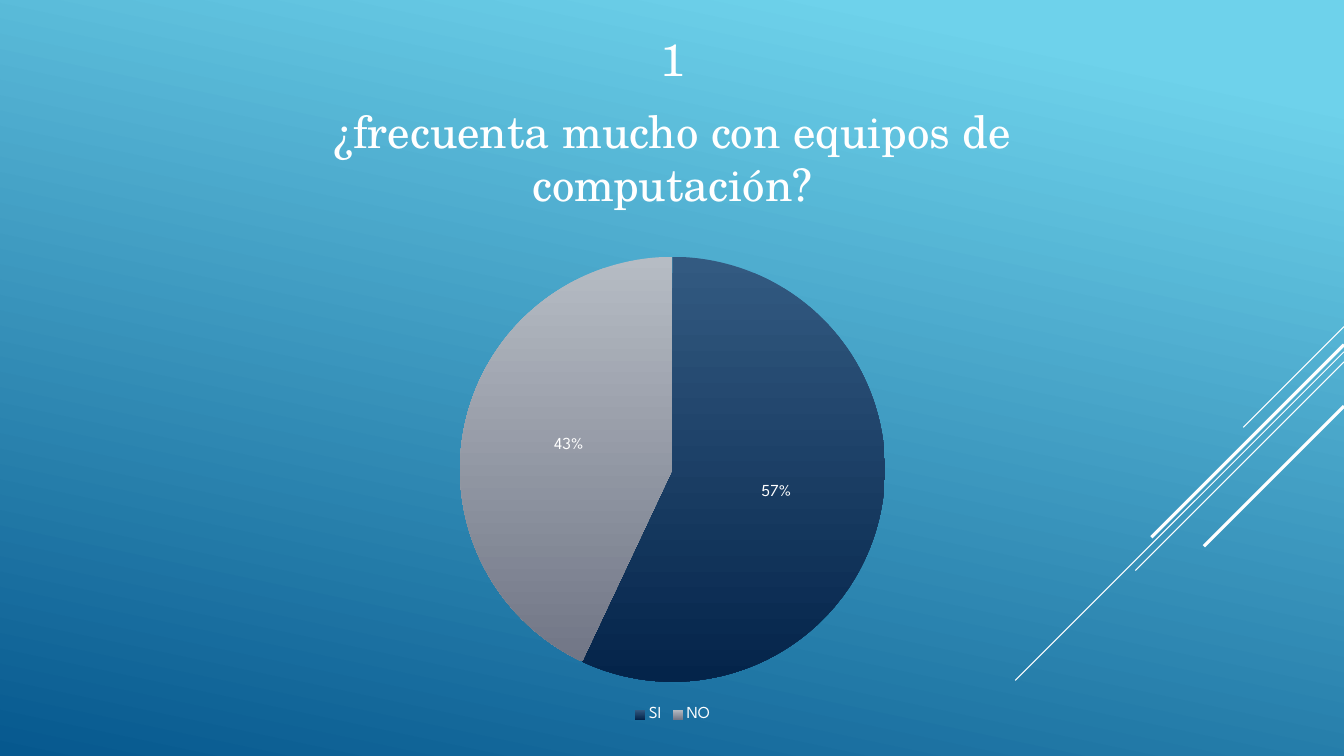
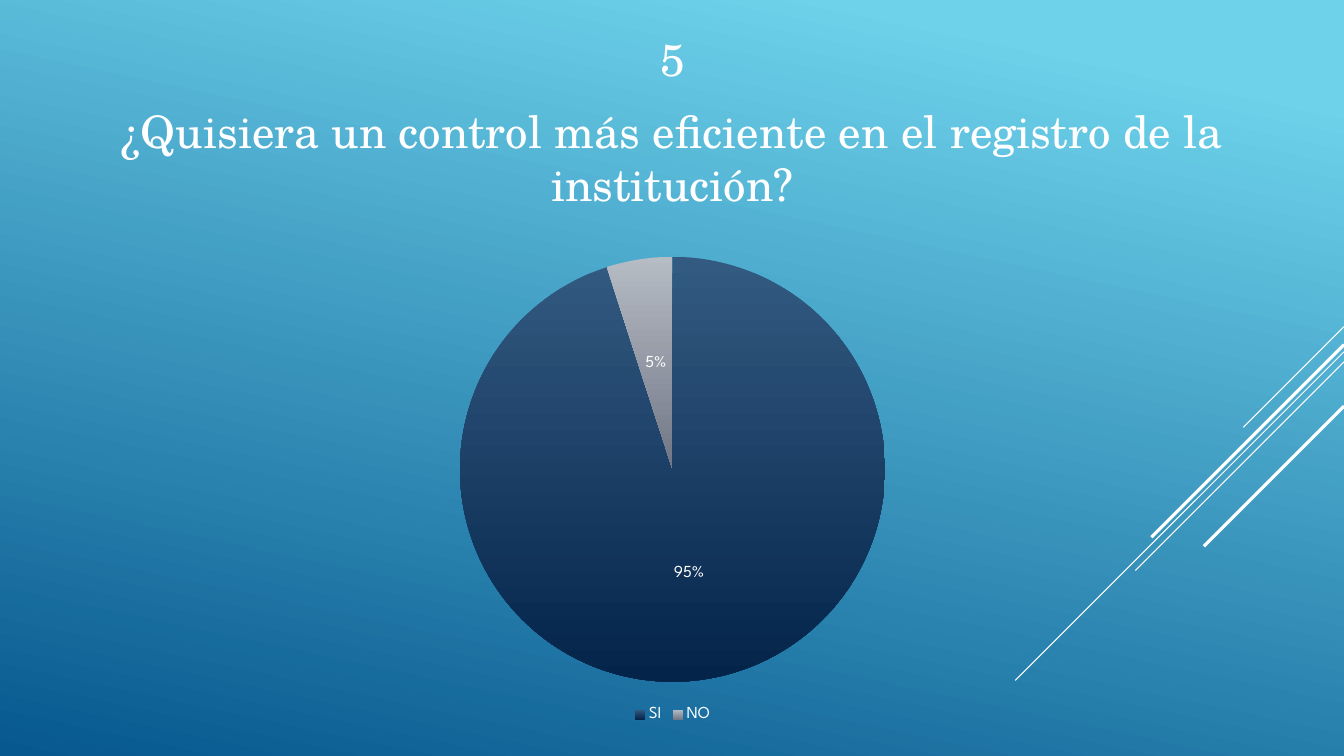
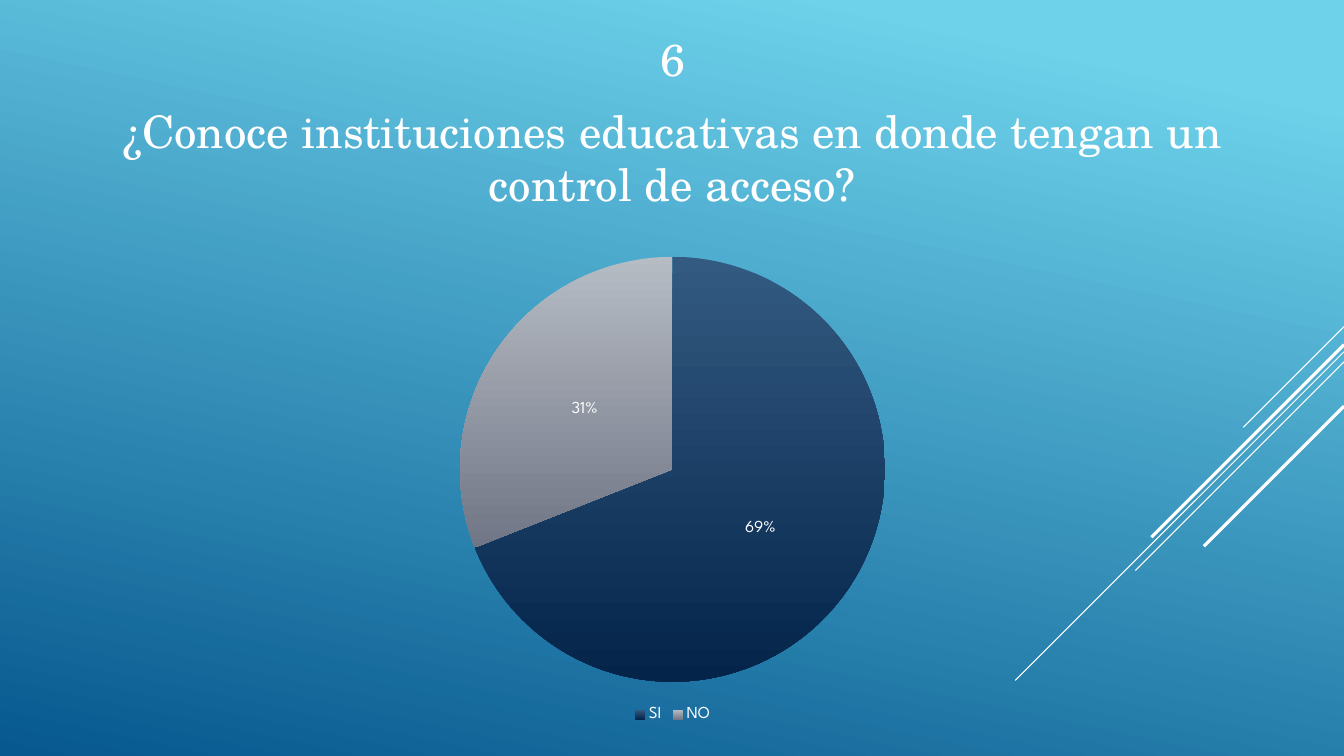
from dataclasses import dataclass

from pptx import Presentation
from pptx.chart.data import CategoryChartData
from pptx.dml.color import RGBColor
from pptx.enum.chart import XL_CHART_TYPE, XL_LABEL_POSITION, XL_LEGEND_POSITION
from pptx.enum.shapes import MSO_CONNECTOR
from pptx.enum.text import MSO_ANCHOR, PP_ALIGN
from pptx.oxml.ns import qn
from pptx.util import Inches, Pt
from lxml.etree import SubElement

# Content: number, question, percentages for each answer
ANSWERS = ("SI", "NO")
QUESTIONS = [
    ("1", "¿frecuenta mucho con equipos de computación?", (57, 43)),
    ("5", "¿Quisiera un control más eficiente en el registro de la institución?", (95, 5)),
    ("6", "¿Conoce instituciones educativas en donde tengan un control de acceso?", (69, 31)),
]


@dataclass(frozen=True)
class Theme:
    text: str = "FFFFFF"
    background: tuple = ((0.1, "6ED2EB"), (1, "06588E"))
    background_angle: int = 102
    slices: tuple = (
        ((0, "335A81"), (1, "04244A")),
        ((0, "B6BCC4"), (1, "717686")),
    )
    slice_angle: int = 90
    question_font: str = "TeX Gyre Schola"
    chart_font: str = "League Spartan"
    question_size: int = 32
    chart_size: int = 10
    label_size: int = 12


THEME = Theme()

# Layout in inches
SLIDE_WIDTH, SLIDE_HEIGHT = 13.33, 7.5
HEADING_CENTER, HEADING_HEIGHT = 6.67, 2.41
NARROW_HEADING, WIDE_HEADING = 9.77, 11.17
LONG_QUESTION = 50
CHART_BOX = (3.15, HEADING_HEIGHT, 7.04, 4.8)

# Diagonals leave the right edge at 45 degrees: start height, run, weight in points
DIAGONALS = [
    (3.24, 1.0, 0.75),
    (3.49, 3.26, 0.75),
    (3.59, 2.07, 0.75),
    (3.42, 1.91, 2.25),
    (4.03, 1.39, 2.25),
]


def style_font(font, name, size):
    font.name = name
    font.size = Pt(size)
    font.color.rgb = RGBColor.from_string(THEME.text)


def fill_gradient(fill, stops, clockwise_angle):
    fill.gradient()
    fill.gradient_angle = 360 - clockwise_angle
    for stop, (position, color) in zip(fill.gradient_stops, stops):
        stop.position = position
        stop.color.rgb = RGBColor.from_string(color)


def add_diagonals(slide):
    for top, run, weight in DIAGONALS:
        line = slide.shapes.add_connector(
            MSO_CONNECTOR.STRAIGHT,
            Inches(SLIDE_WIDTH), Inches(top),
            Inches(SLIDE_WIDTH - run), Inches(top + run),
        )
        line.line.color.rgb = RGBColor.from_string(THEME.text)
        line.line.width = Pt(weight)
        SubElement(line._element.spPr, qn("a:effectLst"))


def add_heading(slide, number, question):
    width = WIDE_HEADING if len(question) > LONG_QUESTION else NARROW_HEADING
    box = slide.shapes.add_textbox(
        Inches(HEADING_CENTER - width / 2), Inches(0),
        Inches(width), Inches(HEADING_HEIGHT),
    )
    frame = box.text_frame
    frame.word_wrap = True
    frame.vertical_anchor = MSO_ANCHOR.MIDDLE
    question_paragraph = frame.add_paragraph()
    question_paragraph.space_before = Pt(THEME.question_size * 0.2)
    for paragraph, text in zip(frame.paragraphs, (number, question)):
        paragraph.alignment = PP_ALIGN.CENTER
        paragraph.space_after = Pt(6)
        run = paragraph.add_run()
        run.text = text
        style_font(run.font, THEME.question_font, THEME.question_size)


def add_answer_pie(slide, values):
    data = CategoryChartData()
    data.categories = ANSWERS
    data.add_series("Series 1", values)
    chart = slide.shapes.add_chart(
        XL_CHART_TYPE.PIE, *(Inches(length) for length in CHART_BOX), data
    ).chart
    chart.has_title = False
    style_font(chart.font, THEME.chart_font, THEME.chart_size)

    # Legend
    chart.has_legend = True
    chart.legend.position = XL_LEGEND_POSITION.BOTTOM
    chart.legend.include_in_layout = False
    style_font(chart.legend.font, THEME.chart_font, THEME.label_size)

    # Slices
    plot = chart.plots[0]
    plot.vary_by_categories = True
    series = plot.series[0]
    for index, stops in enumerate(THEME.slices):
        slice_format = series.points[index].format
        fill_gradient(slice_format.fill, stops, THEME.slice_angle)
        slice_format.line.fill.background()

    # Percentages
    labels = series.data_labels
    labels.show_percentage = True
    labels.show_value = False
    labels.number_format = "0%"
    labels.number_format_is_linked = False
    labels.position = XL_LABEL_POSITION.CENTER
    style_font(labels.font, THEME.chart_font, THEME.label_size)


def main():
    presentation = Presentation()
    presentation.slide_width = Inches(SLIDE_WIDTH)
    presentation.slide_height = Inches(SLIDE_HEIGHT)
    fill_gradient(
        presentation.slide_master.background.fill,
        THEME.background, THEME.background_angle,
    )
    blank_layout = presentation.slide_layouts[6]
    for number, question, values in QUESTIONS:
        slide = presentation.slides.add_slide(blank_layout)
        add_diagonals(slide)
        add_heading(slide, number, question)
        add_answer_pie(slide, values)
    presentation.save("out.pptx")


if __name__ == "__main__":
    main()
